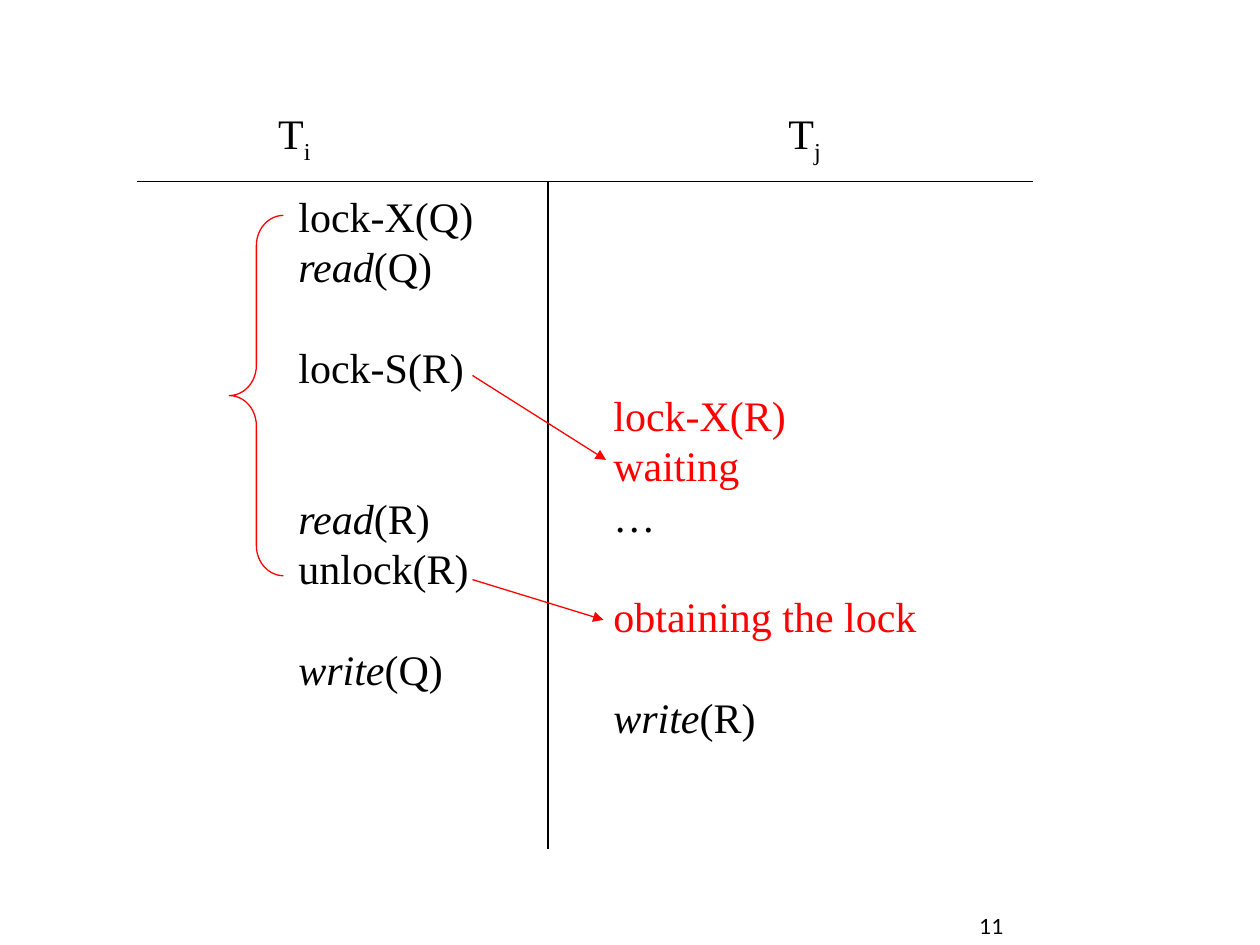
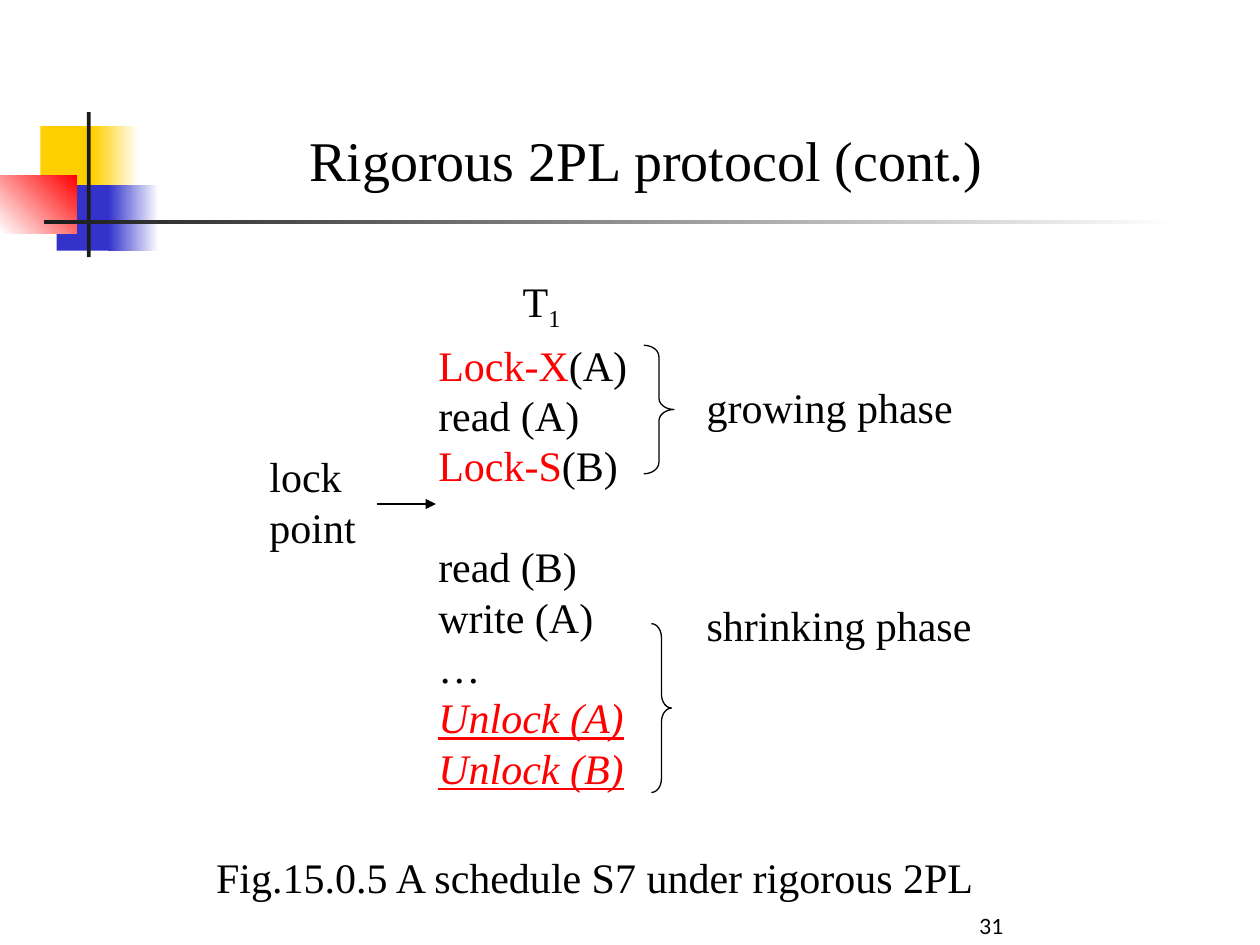
from dataclasses import dataclass
from typing import Optional

from lxml.etree import SubElement
from pptx import Presentation
from pptx.dml.color import RGBColor
from pptx.enum.shapes import MSO_CONNECTOR as Connector, MSO_SHAPE as Shape
from pptx.enum.text import MSO_ANCHOR as Anchor, PP_ALIGN as Align
from pptx.oxml.ns import qn
from pptx.slide import Slide
from pptx.util import Inches, Pt

BLACK = RGBColor(0x00, 0x00, 0x00)
WHITE = RGBColor(0xFF, 0xFF, 0xFF)
RED = RGBColor(0xFF, 0x00, 0x00)
YELLOW = RGBColor(0xFF, 0xCF, 0x01)
BLUE = RGBColor(0x33, 0x33, 0xCC)
CHARCOAL = RGBColor(0x1C, 0x1C, 0x1C)

BODY_FONT, NUMBER_FONT = "Times New Roman", "Lato"
BODY_SIZE, TITLE_SIZE, NUMBER_SIZE = 24, 32, 12
LEADING = 1.2
LINE_WIDTH = Pt(0.75)
RULE_TOP = 1.44


@dataclass(frozen=True)
class Span:
    """A piece of text with one look."""
    text: str
    color: RGBColor = BLACK
    italic: bool = False
    underline: bool = False
    subscript: bool = False


@dataclass(frozen=True)
class Step:
    """One line of a schedule, with the empty lines left above it."""
    spans: tuple[Span, ...]
    lines_above: float = 0
    indent: float = 0


@dataclass(frozen=True)
class Stroke:
    """A straight line or arrow."""
    start: tuple[float, float]
    end: tuple[float, float]
    color: RGBColor = BLACK
    arrow: bool = False


@dataclass(frozen=True)
class Brace:
    """A curly brace and the height of its corner curves."""
    kind: Shape
    left: float
    top: float
    width: float
    height: float
    curve: float
    color: RGBColor = BLACK


@dataclass(frozen=True)
class Block:
    """A borderless rectangle, plain or fading to a second colour."""
    left: float
    top: float
    width: float
    height: float
    color: RGBColor
    fade_to: Optional[RGBColor] = None
    angle: float = 0


TITLE_BAND = (
    Block(0.32, 1, 0.48, 0.52, YELLOW),
    Block(0.74, 1, 0.36, 0.52, YELLOW, WHITE),
    Block(0.45, 1.47, 0.46, 0.52, BLUE),
    Block(0.86, 1.47, 0.4, 0.52, BLUE, WHITE),
    Block(0, 1.39, 0.61, 0.46, WHITE, RED, 45),
    Block(0.69, 0.89, 0.03, 1.15, CHARCOAL),
    Block(0.35, 1.75, 9, 0.03, CHARCOAL, WHITE),
)


def plain(text: str, color: RGBColor = BLACK, lines_above: float = 0) -> Step:
    """Make a step in one colour."""
    return Step((Span(text, color),), lines_above)


def operation(verb: str, item: str, lines_above: float = 0) -> Step:
    """Make a step with an italic verb and an upright item."""
    return Step((Span(verb, italic=True), Span(item)), lines_above)


def transaction(index: str, indent: float = 0) -> Step:
    """Make a transaction name with its subscript index."""
    return Step((Span("T"), Span(index, subscript=True)), indent=indent)


def add_text(page: Slide, left: float, top: float, width: float, height: float,
             *steps: Step, size: int = BODY_SIZE, font: str = BODY_FONT,
             align: Align = Align.LEFT, anchor: Anchor = Anchor.TOP) -> None:
    """Write the steps as paragraphs of one text box."""
    box = page.shapes.add_textbox(Inches(left), Inches(top), Inches(width), Inches(height))
    frame = box.text_frame
    frame.word_wrap = True
    frame.vertical_anchor = anchor
    for number, step in enumerate(steps):
        para = frame.add_paragraph() if number else frame.paragraphs[0]
        para.alignment = align
        para.line_spacing = Pt(size * LEADING)
        if step.lines_above:
            para.space_before = Pt(size * LEADING * step.lines_above)
        if step.indent:
            para._p.get_or_add_pPr().set("marL", str(Inches(step.indent)))
        for piece in step.spans:
            span = para.add_run()
            span.text = piece.text
            span.font.name = font
            span.font.size = Pt(size)
            span.font.color.rgb = piece.color
            span.font.italic = piece.italic
            span.font.underline = piece.underline
            if piece.subscript:
                span._r.get_or_add_rPr().set("baseline", "-25000")


def add_stroke(page: Slide, stroke: Stroke) -> None:
    """Draw a line, with an arrowhead at its end if asked."""
    line = page.shapes.add_connector(
        Connector.STRAIGHT, *(Inches(value) for value in stroke.start + stroke.end))
    line.line.color.rgb = stroke.color
    line.line.width = LINE_WIDTH
    properties = line._element.spPr
    if stroke.arrow:
        SubElement(properties.find(qn("a:ln")), qn("a:tailEnd"), type="triangle")
    SubElement(properties, qn("a:effectLst"))


def add_brace(page: Slide, brace: Brace) -> None:
    """Draw an unfilled curly brace."""
    shape = page.shapes.add_shape(brace.kind, Inches(brace.left), Inches(brace.top),
                                  Inches(brace.width), Inches(brace.height))
    shape.shadow.inherit = False
    shape.adjustments[0] = brace.curve / brace.width
    shape.fill.background()
    shape.line.color.rgb = brace.color
    shape.line.width = LINE_WIDTH


def add_block(page: Slide, block: Block) -> None:
    """Draw one block of the title band."""
    shape = page.shapes.add_shape(Shape.RECTANGLE, Inches(block.left), Inches(block.top),
                                  Inches(block.width), Inches(block.height))
    shape.shadow.inherit = False
    shape.line.fill.background()
    if block.fade_to is None:
        shape.fill.solid()
        shape.fill.fore_color.rgb = block.color
        return
    shape.fill.gradient()
    shape.fill.gradient_angle = block.angle
    for stop, color in zip(shape.fill.gradient_stops, (block.color, block.fade_to)):
        stop.color.rgb = color


def add_title(page: Slide, title: str) -> None:
    """Draw the title band and the title."""
    for block in TITLE_BAND:
        add_block(page, block)
    add_text(page, 1.67, 0.58, 6.92, 1, plain(title), size=TITLE_SIZE,
             align=Align.CENTER, anchor=Anchor.BOTTOM)


def add_page_number(page: Slide, number: int) -> None:
    """Write the page number in the footer."""
    add_text(page, 6.83, 7, 2.08, 0.5, plain(str(number)), size=NUMBER_SIZE,
             font=NUMBER_FONT, align=Align.CENTER, anchor=Anchor.BOTTOM)


def build_waiting_schedule(page: Slide) -> None:
    """Show two transactions, one waiting for the other's lock."""
    for left, index in ((2.11, "i"), (6.16, "j")):
        add_text(page, left, 0.86, 0.6, 0.56, transaction(index))
    add_text(page, 2.27, 1.46, 1.8, 4.1,
             plain("lock-X(Q)"), operation("read", "(Q)"),
             plain("lock-S(R)", lines_above=1),
             operation("read", "(R)", 2), plain("unlock(R)"),
             operation("write", "(Q)", 1))
    add_text(page, 4.77, 3.04, 2.8, 2.9,
             plain("lock-X(R)", RED), plain("waiting", RED), plain("…"),
             plain("obtaining the lock", RED, 1), operation("write", "(R)", 1))
    for stroke in (
        Stroke((1.09, RULE_TOP), (8.2, RULE_TOP)),
        Stroke((4.35, RULE_TOP), (4.35, 6.74)),
        Stroke((3.75, 2.98), (4.81, 3.65), RED, arrow=True),
        Stroke((3.75, 4.6), (4.79, 4.92), RED, arrow=True),
    ):
        add_stroke(page, stroke)
    add_brace(page, Brace(Shape.LEFT_BRACE, 1.82, 1.71, 0.43, 2.86, 0.24, RED))
    add_page_number(page, 11)


def build_rigorous_schedule(page: Slide) -> None:
    """Show the growing and shrinking phases of rigorous 2PL."""
    add_title(page, "Rigorous 2PL protocol (cont.)")
    unlocks = (Step((Span(f"Unlock ({item})", RED, italic=True, underline=True),))
               for item in "AB")
    add_text(page, 3.38, 2.19, 2.15, 4.16,
             transaction("1", indent=0.67),
             Step((Span("Lock-X", RED), Span("(A)")), lines_above=0.13),
             plain("read (A)"),
             Step((Span("Lock-S", RED), Span("(B)"))),
             plain("read (B)", lines_above=1), plain("write (A)"), plain("…"),
             *unlocks)
    add_text(page, 2.04, 3.53, 1, 0.9, plain("lock"), plain("point"))
    add_stroke(page, Stroke((2.99, 4), (3.46, 4), arrow=True))
    for top, phase in ((2.98, "growing phase"), (4.71, "shrinking phase")):
        add_text(page, 5.51, top, 2.4, 0.5, plain(phase))
    add_brace(page, Brace(Shape.RIGHT_BRACE, 5.11, 2.74, 0.24, 1.02, 0.09))
    add_brace(page, Brace(Shape.RIGHT_BRACE, 5.17, 4.95, 0.16, 1.34, 0.11))
    add_text(page, 1.43, 6.71, 6.58, 0.5,
             plain("Fig.15.0.5 A schedule S7 under rigorous 2PL"), align=Align.CENTER)
    add_page_number(page, 31)


def main() -> None:
    """Build and save the deck."""
    deck = Presentation()
    deck.slide_width, deck.slide_height = Inches(10), Inches(7.5)
    blank = deck.slide_layouts[6]
    for build in (build_waiting_schedule, build_rigorous_schedule):
        build(deck.slides.add_slide(blank))
    deck.save("out.pptx")


if __name__ == "__main__":
    main()
